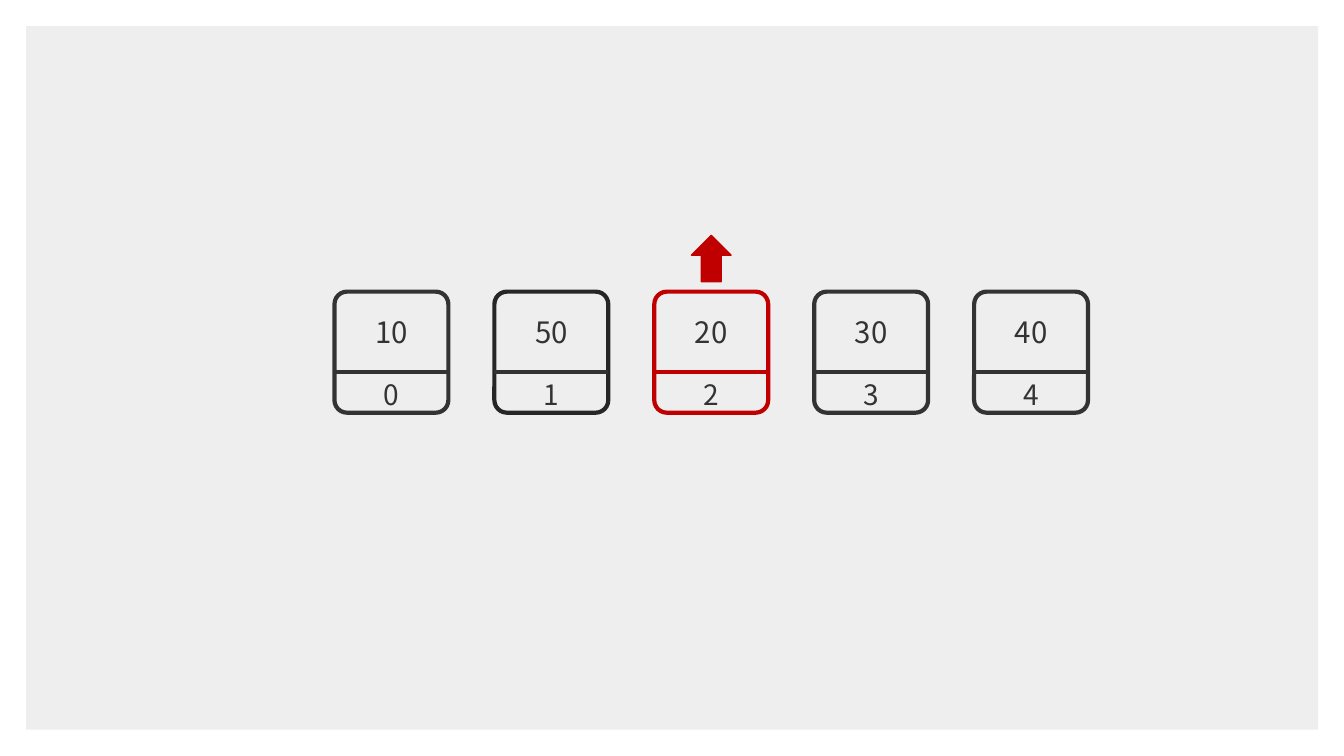
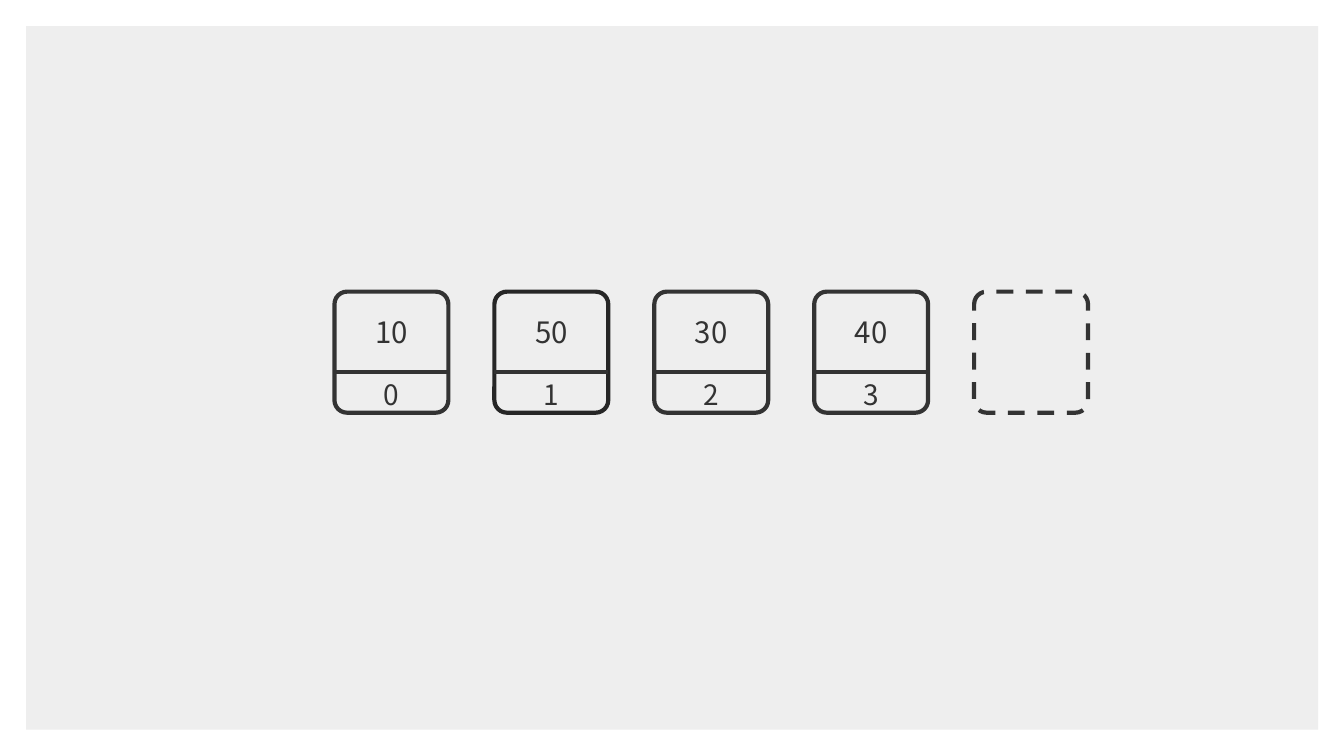
"""Builds two slides that show an element being removed from an array."""
import pptx
import pptx.dml.color
import pptx.enum.dml
import pptx.enum.shapes
import pptx.enum.text
import pptx.util
from lxml import etree

Cm, Pt = pptx.util.Cm, pptx.util.Pt
SHAPE = pptx.enum.shapes.MSO_SHAPE
FONT = "Noto Sans CJK KR"
DARK, DARKER, RED, PANEL = "333333", "262626", "C00000", "EEEEEE"
FIRST_LEFT, PITCH, CELL_TOP = 8.43, 4.03, 7.35
CELL_WIDTH, CELL_HEIGHT, DIVIDER_DROP = 2.87, 3.05, 2.03
ARROW_WIDTH = 1.0


def color(hex_code):
    return pptx.dml.color.RGBColor.from_string(hex_code)


def add_outline(shapes, kind, left, top, width, height, fill, line, weight):
    outline = shapes.add_shape(kind, Cm(left), Cm(top), Cm(width), Cm(height))
    outline.shadow.inherit = False
    if fill:
        outline.fill.solid()
        outline.fill.fore_color.rgb = color(fill)
    else:
        outline.fill.background()
    if line:
        outline.line.color.rgb = color(line)
        outline.line.width = Pt(weight)
    else:
        outline.line.fill.background()
    return outline


deck = pptx.Presentation()
deck.slide_width, deck.slide_height = Cm(33.87), Cm(19.05)

stages = [
    {"values": ["10", "50", "20", "30", "40"], "removed": 2},
    {"values": ["10", "50", "30", "40", None], "removed": None},
]

for stage in stages:
    slide = deck.slides.add_slide(deck.slide_layouts[6])
    add_outline(slide.shapes, SHAPE.RECTANGLE, 0.66, 0.66, 32.56, 17.73, PANEL, None, 0)

    for index, value in enumerate(stage["values"]):
        left = FIRST_LEFT + index * PITCH
        accent = RED if index == stage["removed"] else DARK
        border = DARKER if index == 1 else accent
        cell = slide.shapes if value is None else slide.shapes.add_group_shape().shapes
        frame = add_outline(cell, SHAPE.ROUNDED_RECTANGLE, left, CELL_TOP,
                            CELL_WIDTH, CELL_HEIGHT, None, border, 3)
        frame.adjustments[0] = 0.11
        if value is None:
            frame.line.dash_style = pptx.enum.dml.MSO_LINE.DASH
            continue

        divider_top = Cm(CELL_TOP + DIVIDER_DROP)
        divider = cell.add_connector(pptx.enum.shapes.MSO_CONNECTOR.STRAIGHT,
                                     Cm(left), divider_top, Cm(left + CELL_WIDTH), divider_top)
        divider.line.color.rgb = color(accent)
        divider.line.width = Pt(3)
        etree.SubElement(divider._element.spPr, pptx.oxml.ns.qn("a:effectLst"))

        for text, drop, height, size, anchor in [
            (str(index), DIVIDER_DROP, 1.12, 20, pptx.enum.text.MSO_ANCHOR.TOP),
            (value, 0.43, 1.14, 21, pptx.enum.text.MSO_ANCHOR.MIDDLE),
        ]:
            label = cell.add_textbox(Cm(left), Cm(CELL_TOP + drop),
                                     Cm(CELL_WIDTH), Cm(height)).text_frame
            label.word_wrap = True
            label.auto_size = pptx.enum.text.MSO_AUTO_SIZE.SHAPE_TO_FIT_TEXT
            label.vertical_anchor = anchor
            label.text = text
            line = label.paragraphs[0]
            line.alignment = pptx.enum.text.PP_ALIGN.CENTER
            font = line.runs[0].font
            font.name, font.size = FONT, Pt(size)
            font.color.rgb = color(DARK)

    if stage["removed"] is not None:
        arrow_left = FIRST_LEFT + stage["removed"] * PITCH + (CELL_WIDTH - ARROW_WIDTH) / 2
        add_outline(slide.shapes, SHAPE.UP_ARROW, arrow_left, 5.93, ARROW_WIDTH, 1.17, RED, RED, 1)

deck.save("out.pptx")
